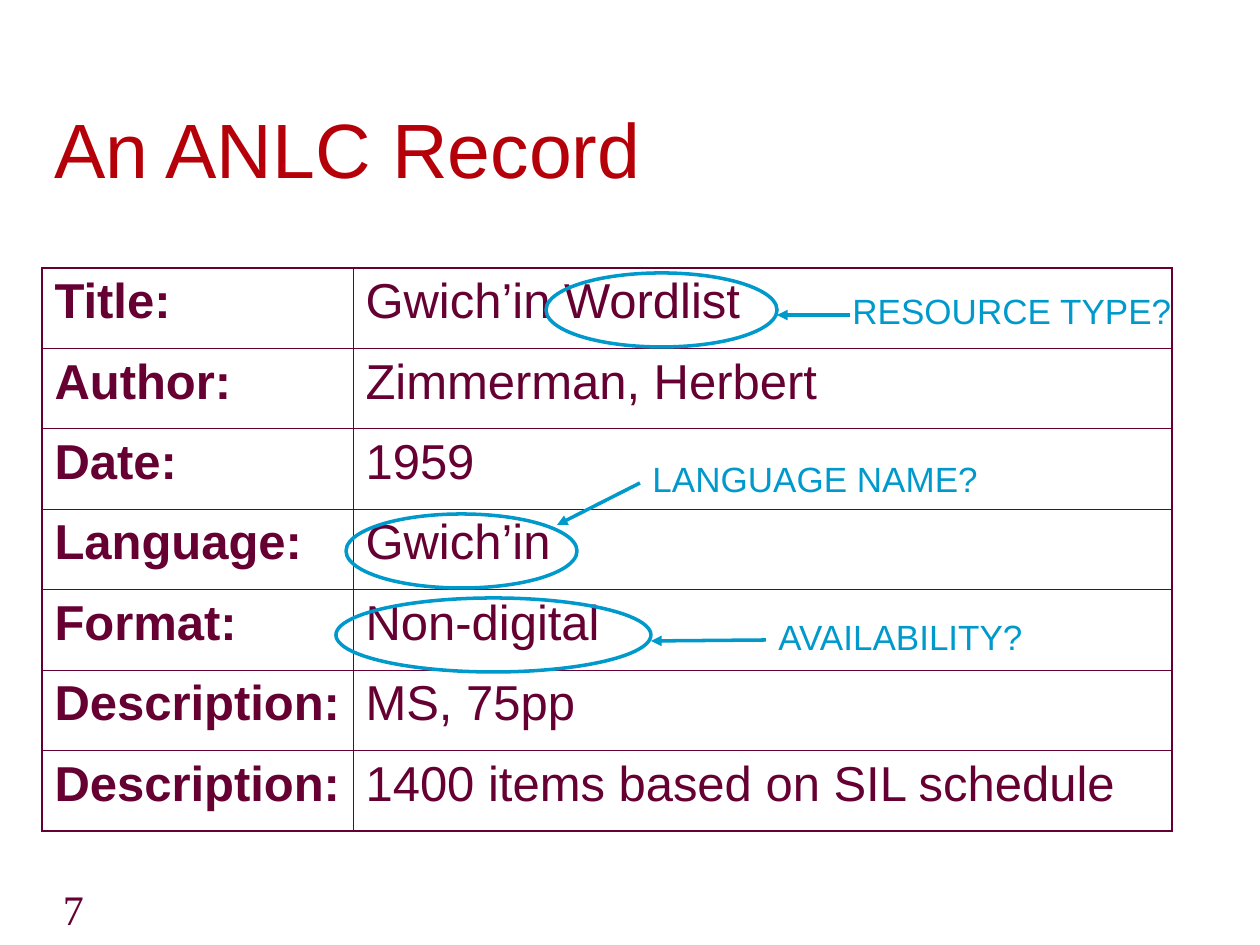
from dataclasses import dataclass

from lxml import etree
from pptx import Presentation
from pptx.dml.color import RGBColor
from pptx.enum.shapes import MSO_CONNECTOR, MSO_SHAPE
from pptx.enum.text import MSO_ANCHOR
from pptx.oxml.ns import qn
from pptx.slide import Slide
from pptx.table import _Cell
from pptx.util import Emu, Pt

ELLIPSE = MSO_SHAPE.OVAL
STRAIGHT = MSO_CONNECTOR.STRAIGHT
TOP = MSO_ANCHOR.TOP
BOTTOM = MSO_ANCHOR.BOTTOM
PX_PER_INCH = 126


@dataclass(frozen=True)
class Theme:
    title_color: str = "B60009"
    body_color: str = "660033"
    accent_color: str = "0099CC"
    font: str = "Arial"
    number_font: str = "Times New Roman"
    title_size: int = 44
    table_size: int = 28
    callout_size: int = 20
    number_size: int = 24
    callout_line: float = 2
    outer_border: float = 1.08
    inner_border: float = 0.45


@dataclass(frozen=True)
class Box:
    left: int
    top: int
    width: int
    height: int

    def emu(self) -> tuple[Emu, ...]:
        return tuple(px(v) for v in (self.left, self.top, self.width, self.height))


@dataclass(frozen=True)
class Callout:
    text: str
    label: Box
    ellipse: Box
    start: tuple[int, int]
    end: tuple[int, int]


THEME = Theme()
TABLE_BOX = Box(42, 268, 1130, 563)
COLUMN_WIDTHS = (311, 819)
RECORD = (
    ("Title:", "Gwich’in Wordlist"),
    ("Author:", "Zimmerman, Herbert"),
    ("Date:", "1959"),
    ("Language:", "Gwich’in"),
    ("Format:", "Non-digital"),
    ("Description:", "MS, 75pp"),
    ("Description:", "1400 items based on SIL schedule"),
)
CALLOUTS = (
    Callout("RESOURCE TYPE?", Box(840, 283, 347, 55), Box(546, 273, 231, 74),
            (850, 315), (777, 315)),
    Callout("LANGUAGE NAME?", Box(640, 451, 357, 55), Box(346, 514, 231, 74),
            (640, 483), (557, 525)),
    Callout("AVAILABILITY?", Box(766, 609, 325, 55), Box(336, 598, 315, 74),
            (766, 640), (651, 641)),
)


def px(value: int) -> Emu:
    return Emu(round(value * 914400 / PX_PER_INCH))


def style_text(paragraph, text: str, font: str, size: int, color: str,
               bold: bool = False) -> None:
    paragraph.text = text
    paragraph.font.name = font
    paragraph.font.size = Pt(size)
    paragraph.font.bold = bold
    paragraph.font.color.rgb = RGBColor.from_string(color)


def add_text(shapes, box: Box, text: str, font: str, size: int, color: str,
             anchor: MSO_ANCHOR = TOP):
    frame = shapes.add_textbox(*box.emu()).text_frame
    frame.word_wrap = True
    frame.vertical_anchor = anchor
    style_text(frame.paragraphs[0], text, font, size, color)
    return frame


def set_border(cell: _Cell, side: str, width: float) -> None:
    properties = cell._tc.get_or_add_tcPr()
    line = etree.SubElement(properties, qn(f"a:ln{side}"), w=str(Pt(width)))
    fill = etree.SubElement(line, qn("a:solidFill"))
    etree.SubElement(fill, qn("a:srgbClr"), val=THEME.body_color)


def add_record_table(slide: Slide) -> None:
    last_row, last_column = len(RECORD) - 1, len(COLUMN_WIDTHS) - 1
    table = slide.shapes.add_table(
        len(RECORD), len(COLUMN_WIDTHS), *TABLE_BOX.emu()).table
    table.first_row = False
    table.horz_banding = False
    for column, width in zip(table.columns, COLUMN_WIDTHS):
        column.width = px(width)
    for row, values in enumerate(RECORD):
        for column, text in enumerate(values):
            cell = table.cell(row, column)
            style_text(cell.text_frame.paragraphs[0], text, THEME.font,
                       THEME.table_size, THEME.body_color, bold=column == 0)
            outer_sides = {"L": column == 0, "R": column == last_column,
                           "T": row == 0, "B": row == last_row}
            for side, outer in outer_sides.items():
                set_border(cell, side,
                           THEME.outer_border if outer else THEME.inner_border)
            cell.fill.background()


def style_line(shape) -> None:
    shape.line.color.rgb = RGBColor.from_string(THEME.accent_color)
    shape.line.width = Pt(THEME.callout_line)


def add_callout(slide: Slide, callout: Callout) -> None:
    shapes = slide.shapes.add_group_shape().shapes
    ellipse = shapes.add_shape(ELLIPSE, *callout.ellipse.emu())
    ellipse.shadow.inherit = False
    ellipse.fill.background()
    style_line(ellipse)
    points = (px(value) for value in callout.start + callout.end)
    arrow = shapes.add_connector(STRAIGHT, *points)
    style_line(arrow)
    etree.SubElement(arrow.line._get_or_add_ln(), qn("a:tailEnd"), type="triangle")
    etree.SubElement(arrow._element.spPr, qn("a:effectLst"))
    add_text(shapes, callout.label, callout.text, THEME.font,
             THEME.callout_size, THEME.accent_color)


def main() -> None:
    presentation = Presentation()
    presentation.slide_width = px(1260)
    presentation.slide_height = px(945)
    slide = presentation.slides.add_slide(presentation.slide_layouts[6])
    add_text(slide.shapes, Box(42, 94, 1191, 106), "An ANLC Record", THEME.font,
             THEME.title_size, THEME.title_color, BOTTOM)
    add_record_table(slide)
    for callout in CALLOUTS:
        add_callout(slide, callout)
    number = add_text(slide.shapes, Box(20, 877, 262, 63), "7", THEME.number_font,
                      THEME.number_size, THEME.body_color, BOTTOM)
    number.margin_left = px(43)
    presentation.save("out.pptx")


if __name__ == "__main__":
    main()
